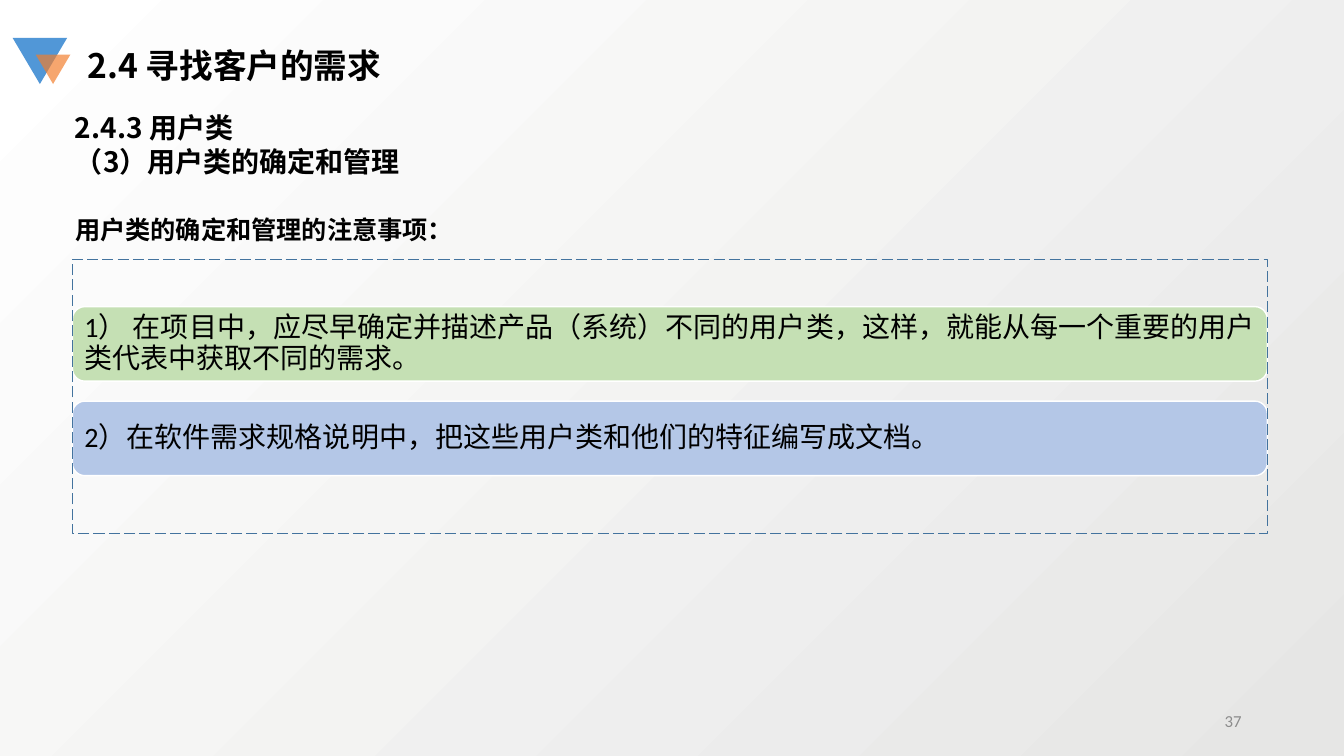
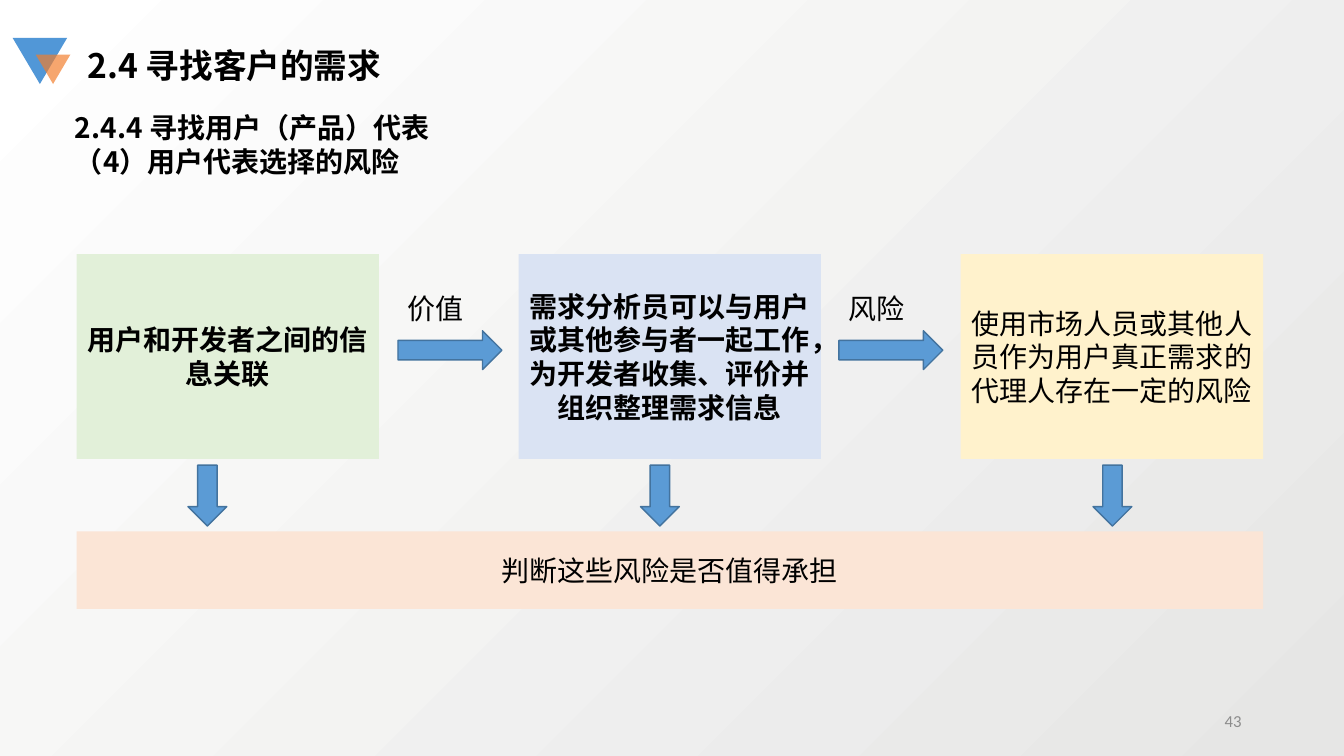
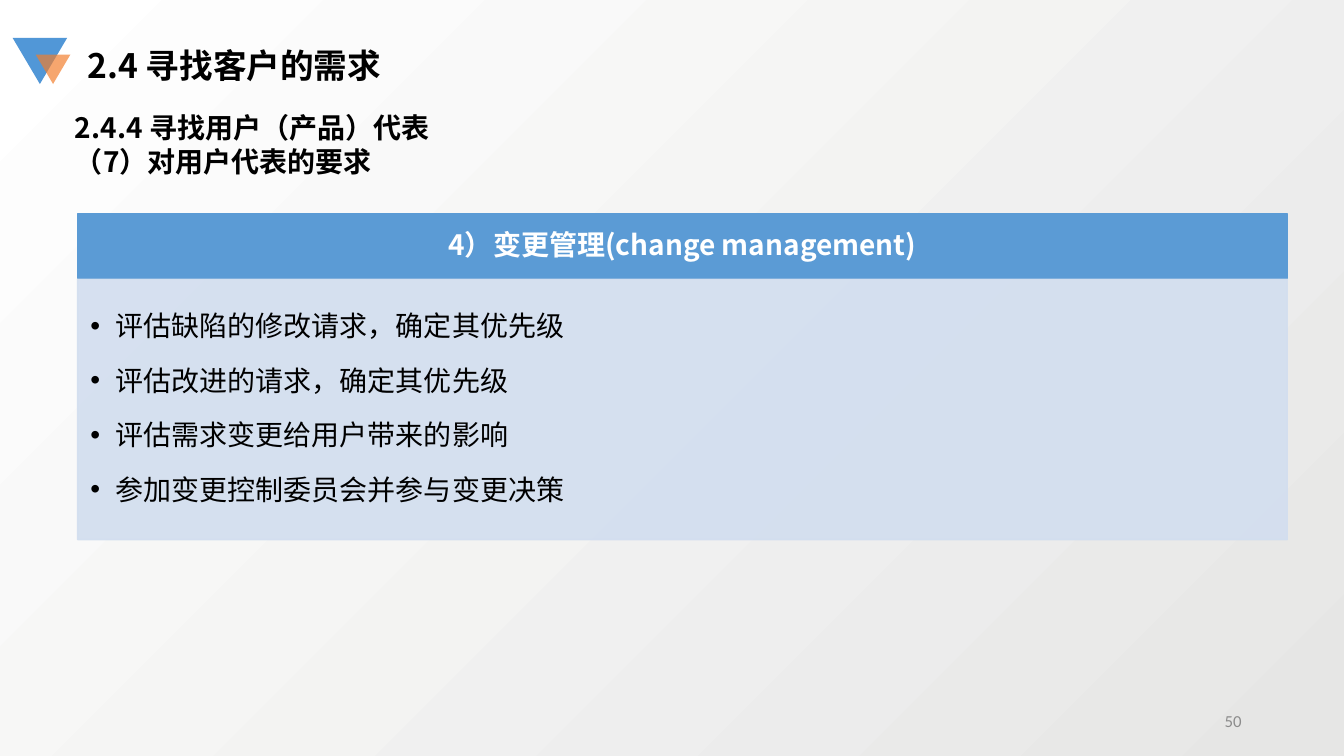
"""Builds three slides on finding customer requirements."""
import dataclasses

import lxml.etree
import pptx
import pptx.dml.color
import pptx.enum.dml
import pptx.enum.shapes
import pptx.enum.text
import pptx.oxml.ns
import pptx.util

SHAPE = pptx.enum.shapes.MSO_SHAPE
ALIGN = pptx.enum.text.PP_ALIGN
ANCHOR = pptx.enum.text.MSO_ANCHOR
FIT = pptx.enum.text.MSO_AUTO_SIZE
qn = pptx.oxml.ns.qn

SECTION = "2.4 寻找客户的需求"
USER_CLASSES = {
    "number": 37,
    "heading": ["2.4.3 用户类", "（3）用户类的确定和管理"],
    "caption": "用户类的确定和管理的注意事项：",
    "notes": [
        ("1） 在项目中，应尽早确定并描述产品（系统）不同的用户类，这样，就能从每一个重要的用户类代表中获取不同的需求。", "C5E0B4"),
        ("2）在软件需求规格说明中，把这些用户类和他们的特征编写成文档。", "B4C7E7"),
    ],
}
RISKS = {
    "number": 43,
    "heading": ["2.4.4 寻找用户（产品）代表", "（4）用户代表选择的风险"],
    "steps": [
        ("用户和开发者之间的信息关联", "E2F0D9", True),
        ("需求分析员可以与用户或其他参与者一起工作，为开发者收集、评价并组织整理需求信息", "DAE3F3", True),
        ("使用市场人员或其他人员作为用户真正需求的代理人存在一定的风险", "FFF2CC", False),
    ],
    "links": ["价值", "风险"],
    "verdict": "判断这些风险是否值得承担",
}
DUTIES = {
    "number": 50,
    "heading": ["2.4.4 寻找用户（产品）代表", "（7）对用户代表的要求"],
    "topic": "4）变更管理(change management)",
    "items": [
        "评估缺陷的修改请求，确定其优先级",
        "评估改进的请求，确定其优先级",
        "评估需求变更给用户带来的影响",
        "参加变更控制委员会并参与变更决策",
    ],
}


@dataclasses.dataclass(frozen=True)
class Theme:
    """Colours, fonts and type sizes."""
    heading_font: str = "Noto Sans CJK SC"
    body_font: str = "Calibri"
    strong_font: str = "Times New Roman"
    title: int = 24
    body: int = 20
    caption: int = 18
    footer: int = 12
    ink: str = "000000"
    white: str = "FFFFFF"
    muted: str = "8C8C8C"
    shade: str = "E6E6E5"
    accent: str = "5B9BD5"
    outline: str = "43739E"
    panel: str = "D2DEEF"
    verdict: str = "FBE5D6"
    mark_blue: str = "5197D7"
    mark_orange: str = "F37D2A"


THEME = Theme()


def px(count):
    """Turn pixels into EMU."""
    return pptx.util.Emu(count * 9525)


def rgb(value):
    """Turn a hex string into a colour."""
    return pptx.dml.color.RGBColor.from_string(value)


def write(shape, lines, size=THEME.body, color=THEME.ink, font=THEME.body_font, bold=False,
          align=ALIGN.LEFT, anchor=ANCHOR.TOP, spacing=None, after=None):
    """Fill a shape with formatted paragraphs."""
    frame = shape.text_frame
    frame.text = "\n".join(lines)
    frame.word_wrap = True
    frame.vertical_anchor = anchor
    for para in frame.paragraphs:
        para.alignment = align
        if spacing:
            para.line_spacing = spacing
        if after:
            para.space_after = pptx.util.Pt(after)
        for span in para.runs:
            span.font.name = font
            span.font.size = pptx.util.Pt(size)
            span.font.bold = bold
            span.font.color.rgb = rgb(color)
    for latin in list(shape.element.iter(qn("a:latin"))):
        latin.addnext(latin.makeelement(qn("a:ea"), {"typeface": THEME.heading_font}))
    return frame


def add_text(page, area, lines, **style):
    """Add a text box."""
    box = page.shapes.add_textbox(*map(px, area))
    return write(box, lines, **style)


def add_block(page, kind, area, fill=None, line=None, opacity=None):
    """Add a preset shape with plain fill and line."""
    block = page.shapes.add_shape(kind, *map(px, area))
    block.shadow.inherit = False
    if fill:
        block.fill.solid()
        block.fill.fore_color.rgb = rgb(fill)
    else:
        block.fill.background()
    if line:
        block.line.color.rgb = rgb(line)
        block.line.width = pptx.util.Pt(1)
    else:
        block.line.fill.background()
    if opacity:
        for color in block.element.spPr.iter(qn("a:srgbClr")):
            lxml.etree.SubElement(color, qn("a:alpha"), val=str(opacity * 1000))
    return block


def set_margins(frame, left, top, right, bottom):
    """Set the four text insets."""
    frame.margin_left, frame.margin_top = px(left), px(top)
    frame.margin_right, frame.margin_bottom = px(right), px(bottom)


def set_background(deck):
    """Give the master a diagonal gradient."""
    fill = deck.slide_master.background.fill
    fill.gradient()
    fill.gradient_angle = 135
    for stop, color in zip(fill.gradient_stops, (THEME.shade, THEME.white)):
        stop.color.rgb = rgb(color)


def add_page(deck, content):
    """Add a slide with mark, title, heading and number."""
    page = deck.slides.add_slide(deck.slide_layouts[5])
    for area, color, opacity in (((12, 36, 52, 44), THEME.mark_blue, None),
                                 ((34, 52, 33, 28), THEME.mark_orange, 68)):
        add_block(page, SHAPE.ISOSCELES_TRIANGLE, area, color, opacity=opacity).rotation = 180
    title = page.shapes.title
    title.left, title.top, title.width, title.height = map(px, (74, 38, 555, 48))
    write(title, [SECTION], size=THEME.title, font=THEME.heading_font, bold=True)
    title.text_frame.auto_size = FIT.SHAPE_TO_FIT_TEXT
    add_text(page, (62, 101, 882, 74), content["heading"], font=THEME.heading_font, bold=True)
    add_text(page, (904, 667, 288, 38), [str(content["number"])], size=THEME.footer,
             color=THEME.muted, align=ALIGN.RIGHT, anchor=ANCHOR.MIDDLE)
    return page


def build_user_classes(deck, content):
    """Build the slide with two framed notes."""
    page = add_page(deck, content)
    left, width = 69, 1138
    for index, (text, color) in enumerate(content["notes"]):
        row = add_block(page, SHAPE.ROUNDED_RECTANGLE, (left, 292 + 90 * index, width, 71),
                        color, THEME.white)
        frame = write(row, [text], anchor=ANCHOR.MIDDLE, spacing=0.9)
        set_margins(frame, 8, 8, 8, 8)
    border = add_block(page, SHAPE.RECTANGLE, (left, 247, width, 261), line=THEME.outline)
    border.line.dash_style = pptx.enum.dml.MSO_LINE.LONG_DASH
    add_text(page, (62, 199, 640, 38), [content["caption"]], size=THEME.caption,
             font=THEME.heading_font, bold=True)


def build_risks(deck, content):
    """Build the flow of three boxes above a verdict bar."""
    page = add_page(deck, content)
    centred = {"align": ALIGN.CENTER, "anchor": ANCHOR.MIDDLE}
    for index, (text, color, bold) in enumerate(content["steps"]):
        box = add_block(page, SHAPE.RECTANGLE, (73 + 421 * index, 242, 288, 195), color)
        write(box, [text], font=THEME.strong_font if bold else THEME.body_font, bold=bold, **centred)
        add_block(page, SHAPE.DOWN_ARROW, (179 + 431 * index, 443, 37, 58),
                  THEME.accent, THEME.outline)
    bar = add_block(page, SHAPE.RECTANGLE, (73, 506, 1130, 74), THEME.verdict)
    write(bar, [content["verdict"]], **centred)
    for index, text in enumerate(content["links"]):
        left = 379 + 420 * index
        add_block(page, SHAPE.RIGHT_ARROW, (left, 315, 99, 37), THEME.accent, THEME.outline)
        add_text(page, (left, 273, 73, 42), [text]).word_wrap = False


def build_duties(deck, content):
    """Build the headed panel of bullets."""
    page = add_page(deck, content)
    left, width = 74, 1152
    header = add_block(page, SHAPE.RECTANGLE, (left, 204, width, 61), THEME.accent, THEME.accent)
    write(header, [content["topic"]], color=THEME.white, font=THEME.heading_font, bold=True,
          align=ALIGN.CENTER, anchor=ANCHOR.MIDDLE, spacing=0.9)
    panel = add_block(page, SHAPE.RECTANGLE, (left, 266, width, 248), THEME.panel, THEME.panel, 90)
    frame = write(panel, content["items"], font=THEME.heading_font, spacing=1.5, after=3)
    set_margins(frame, 12, 12, 15, 16)
    for props in panel.element.iter(qn("a:pPr")):
        props.set("marL", str(px(24)))
        props.set("indent", str(px(-24)))
        lxml.etree.SubElement(props, qn("a:buFont"), typeface="Arial")
        lxml.etree.SubElement(props, qn("a:buChar"), char="•")


def main():
    """Build and save the deck."""
    deck = pptx.Presentation()
    deck.slide_width, deck.slide_height = px(1280), px(720)
    set_background(deck)
    build_user_classes(deck, USER_CLASSES)
    build_risks(deck, RISKS)
    build_duties(deck, DUTIES)
    deck.save("out.pptx")


if __name__ == "__main__":
    main()
